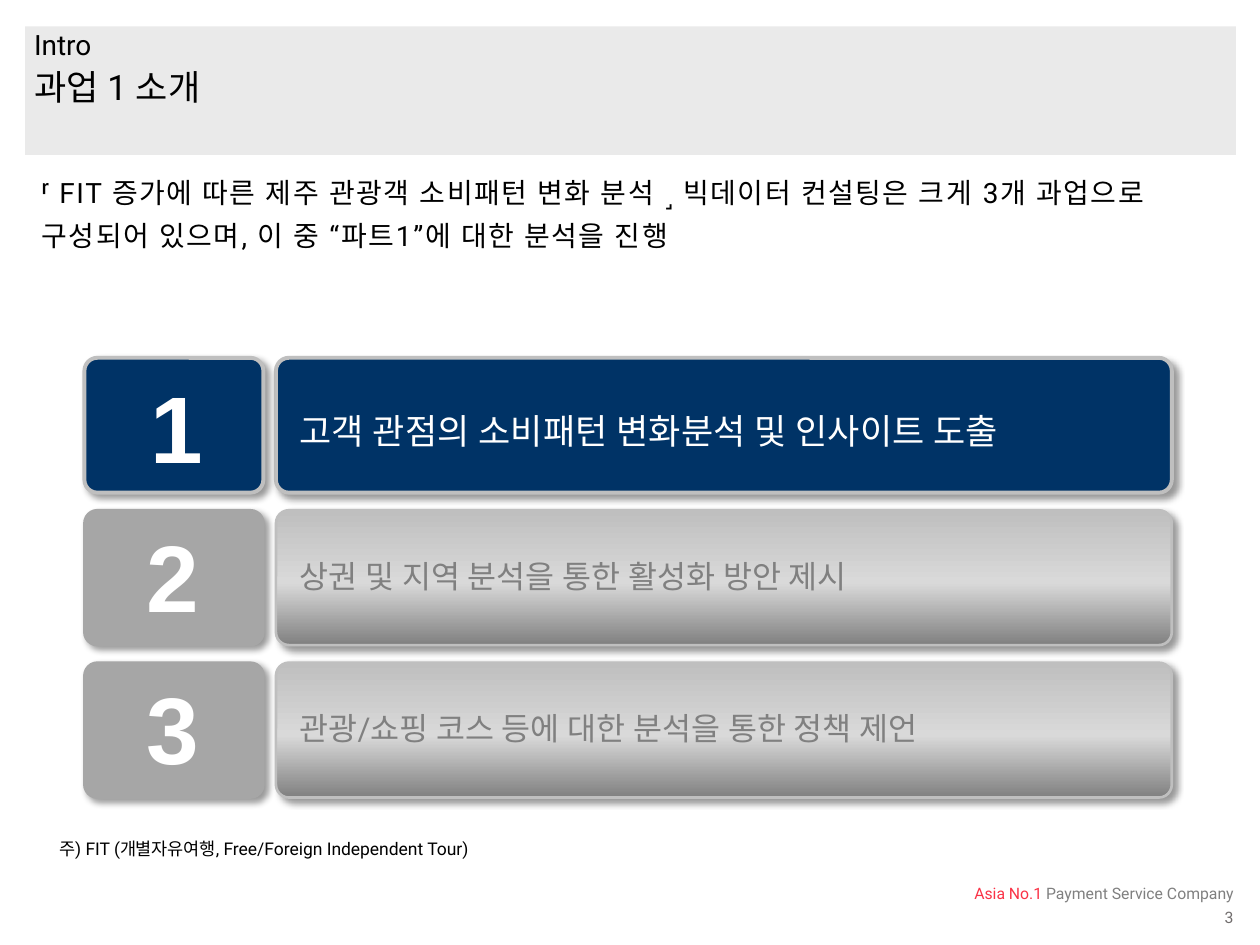
import copy
from dataclasses import dataclass

import pptx
import pptx.dml.color
import pptx.enum.shapes
import pptx.enum.text
import pptx.oxml
import pptx.oxml.ns
import pptx.util
from pptx.util import Inches

ALIGN = pptx.enum.text.PP_ALIGN
ANCHOR = pptx.enum.text.MSO_ANCHOR
SHAPE = pptx.enum.shapes.MSO_SHAPE
qn = pptx.oxml.ns.qn


@dataclass(frozen=True)
class Theme:
    font: str = "Roboto"
    number_font: str = "Arial"
    ink: str = "000000"
    white: str = "FFFFFF"
    band: str = "EAEAEA"
    navy: str = "003366"
    muted: str = "A6A6A6"
    border: str = "BFBFBF"
    gray: str = "808080"
    page: str = "716D6D"
    accent: str = "FA3246"
    muted_gradient: tuple = ((0, "BFBFBF"), (0.54, "D9D9D9"), (1, "808080"))
    number_size: int = 54
    subtitle_size: int = 20
    task_size: int = 18
    body_size: int = 16
    note_size: int = 10
    footer_size: int = 9


THEME = Theme()

TASKS = (
    "고객 관점의 소비패턴 변화분석 및 인사이트 도출",
    "상권 및 지역 분석을 통한 활성화 방안 제시",
    "관광/쇼핑 코스 등에 대한 분석을 통한 정책 제언",
)
SUMMARY = (
    "ʳ FIT 증가에 따른 제주 관광객 소비패턴 변화 분석 ˼ 빅데이터 컨설팅은 크게 3개 과업으로",
    "구성되어 있으며, 이 중 “파트1”에 대한 분석을 진행",
)
ACTIVE_TASK = 1
TASK_TOP, TASK_PITCH, TASK_HEIGHT = 2.84, 1.21, 1.07


def rgb(value):
    return pptx.dml.color.RGBColor.from_string(value)


def place(item, left, top, width, height):
    item.left, item.top = Inches(left), Inches(top)
    item.width, item.height = Inches(width), Inches(height)


def set_frame(frame, insets=(0, 0, 0, 0), anchor=ANCHOR.TOP, wrap=True):
    frame.auto_size = pptx.enum.text.MSO_AUTO_SIZE.NONE
    frame.word_wrap = wrap
    frame.vertical_anchor = anchor
    (frame.margin_left, frame.margin_top,
     frame.margin_right, frame.margin_bottom) = map(Inches, insets)


def add_run(paragraph, text, size, color, font=THEME.font, bold=False, tracking=0):
    run = paragraph.add_run()
    run.text = text
    run.font.size = pptx.util.Pt(size)
    run.font.name = font
    run.font.bold = bold
    run.font.color.rgb = rgb(color)
    properties = run.font._element
    pptx.oxml.ns.qn("a:ea")
    latin = properties.find(qn("a:latin"))
    east_asian = copy.deepcopy(latin)
    east_asian.tag = qn("a:ea")
    latin.addnext(east_asian)
    if tracking:
        properties.set("spc", str(tracking * 100))


def add_text(slide, box, runs, align=ALIGN.LEFT, spacing=1.0, **frame_options):
    """Add a one-paragraph text box; each run is (text, size, color, *font options)."""
    text_box = slide.shapes.add_textbox(*map(Inches, box))
    set_frame(text_box.text_frame, **frame_options)
    paragraph = text_box.text_frame.paragraphs[0]
    paragraph.alignment = align
    paragraph.line_spacing = spacing
    for run in runs:
        add_run(paragraph, *run)
    return text_box


def fill_placeholder(placeholder, box, text, size, anchor):
    place(placeholder, *box)
    set_frame(placeholder.text_frame, anchor=anchor)
    paragraph = placeholder.text_frame.paragraphs[0]
    properties = paragraph._p.get_or_add_pPr()
    properties.set("marL", "0")
    properties.set("indent", "0")
    properties.append(pptx.oxml.parse_xml(
        f'<a:buNone {pptx.oxml.ns.nsdecls("a")}/>'))
    paragraph.alignment = ALIGN.LEFT
    paragraph.line_spacing = 0.9
    paragraph.space_before = pptx.util.Pt(0)
    add_run(paragraph, text, size, THEME.ink)


def add_header(slide):
    band = slide.shapes.add_shape(SHAPE.RECTANGLE, *map(Inches, (0.2, 0.21, 9.61, 1.02)))
    band.shadow.inherit = False
    band.fill.solid()
    band.fill.fore_color.rgb = rgb(THEME.band)
    band.line.fill.background()
    slide.shapes._spTree.insert(2, band._element)  # behind the placeholders
    fill_placeholder(slide.shapes.title, (0.27, 0.22, 8.9, 0.3),
                     "Intro", THEME.body_size, ANCHOR.MIDDLE)
    fill_placeholder(slide.placeholders[1], (0.27, 0.56, 8.9, 0.31),
                     "과업 1 소개", THEME.subtitle_size, ANCHOR.TOP)


def add_summary(slide):
    text_box = slide.shapes.add_textbox(*map(Inches, (0.25, 1.23, 9.56, 0.79)))
    frame = text_box.text_frame
    set_frame(frame, (0.08, 0.08, 0.08, 0.12))
    for index, sentence in enumerate(SUMMARY):
        paragraph = frame.add_paragraph() if index else frame.paragraphs[0]
        paragraph.line_spacing = 1.3
        add_run(paragraph, sentence, THEME.body_size, THEME.ink, tracking=1)


def fill_gradient(panel, stops):
    panel.fill.gradient()
    panel.fill.gradient_angle = 270
    stop_list = panel._element.spPr.find(".//" + qn("a:gsLst"))
    stop_list.insert(1, copy.deepcopy(stop_list[0]))
    for stop, (position, color) in zip(panel.fill.gradient_stops, stops):
        stop.position = position
        stop.color.rgb = rgb(color)


def add_panel(slide, left, top, width, fill, border, border_width):
    panel = slide.shapes.add_shape(
        SHAPE.ROUNDED_RECTANGLE, *map(Inches, (left, top, width, TASK_HEIGHT)))
    panel.adjustments[0] = 0.096
    if isinstance(fill, tuple):
        fill_gradient(panel, fill)
    else:
        panel.fill.solid()
        panel.fill.fore_color.rgb = rgb(fill)
    panel.line.color.rgb = rgb(border)
    panel.line.width = pptx.util.Pt(border_width)
    panel.shadow.inherit = False
    panel._element.spPr.find(qn("a:effectLst")).append(pptx.oxml.parse_xml(
        f'<a:outerShdw {pptx.oxml.ns.nsdecls("a")} blurRad="50800" dist="38100"'
        ' dir="2700000" algn="tl" rotWithShape="0"><a:srgbClr val="000000">'
        '<a:alpha val="40000"/></a:srgbClr></a:outerShdw>'))


def add_task(slide, number, title):
    top = TASK_TOP + (number - 1) * TASK_PITCH
    insets = (0.1, 0.05, 0.1, 0.05)
    if number == ACTIVE_TASK:
        number_fill = title_fill = THEME.navy
        number_border, border_width = THEME.border, 2.25
        title_color, title_size = THEME.white, THEME.subtitle_size
        number_left, number_top, title_top = 0.79, top + 0.04, top + 0.36
    else:
        number_fill, title_fill = THEME.muted, THEME.muted_gradient
        number_border, border_width = THEME.muted, 1.5
        title_color, title_size = THEME.gray, THEME.task_size
        number_left, number_top, title_top = 0.76, top + 0.01, top + 0.32
    add_panel(slide, 2.19, top, 7.11, title_fill, THEME.border, border_width)
    add_panel(slide, 0.67, top, 1.42, number_fill, number_border, border_width)
    add_text(slide, (number_left, number_top, 1.23, 1.01),
             [(str(number), THEME.number_size, THEME.white, THEME.number_font, True)],
             ALIGN.CENTER, insets=insets)
    add_text(slide, (2.28, title_top, 6.76, 0.44),
             [(title, title_size, title_color)], insets=insets)


def add_footer(slide):
    add_text(slide, (0.47, 6.67, 7.48, 0.16),
             [("주) FIT (개별자유여행, Free/Foreign Independent Tour)",
               THEME.note_size, THEME.ink)], spacing=0.9)
    add_text(slide, (7.07, 6.98, 2.83, 0.22),
             [("Asia No.1 ", THEME.footer_size, THEME.accent),
              ("Payment Service Company", THEME.footer_size, THEME.gray)],
             ALIGN.RIGHT, insets=(0.11, 0.06, 0.11, 0.06), anchor=ANCHOR.MIDDLE)
    add_text(slide, (9.72, 7.22, 0.07, 0.14),
             [("3", THEME.footer_size, THEME.page)], ALIGN.RIGHT, 0.9, wrap=False)


def main():
    deck = pptx.Presentation()
    deck.slide_width, deck.slide_height = Inches(10), Inches(7.5)
    slide = deck.slides.add_slide(deck.slide_layouts[1])
    add_header(slide)
    add_summary(slide)
    for number, title in enumerate(TASKS, start=1):
        add_task(slide, number, title)
    add_footer(slide)
    deck.save("out.pptx")


if __name__ == "__main__":
    main()
